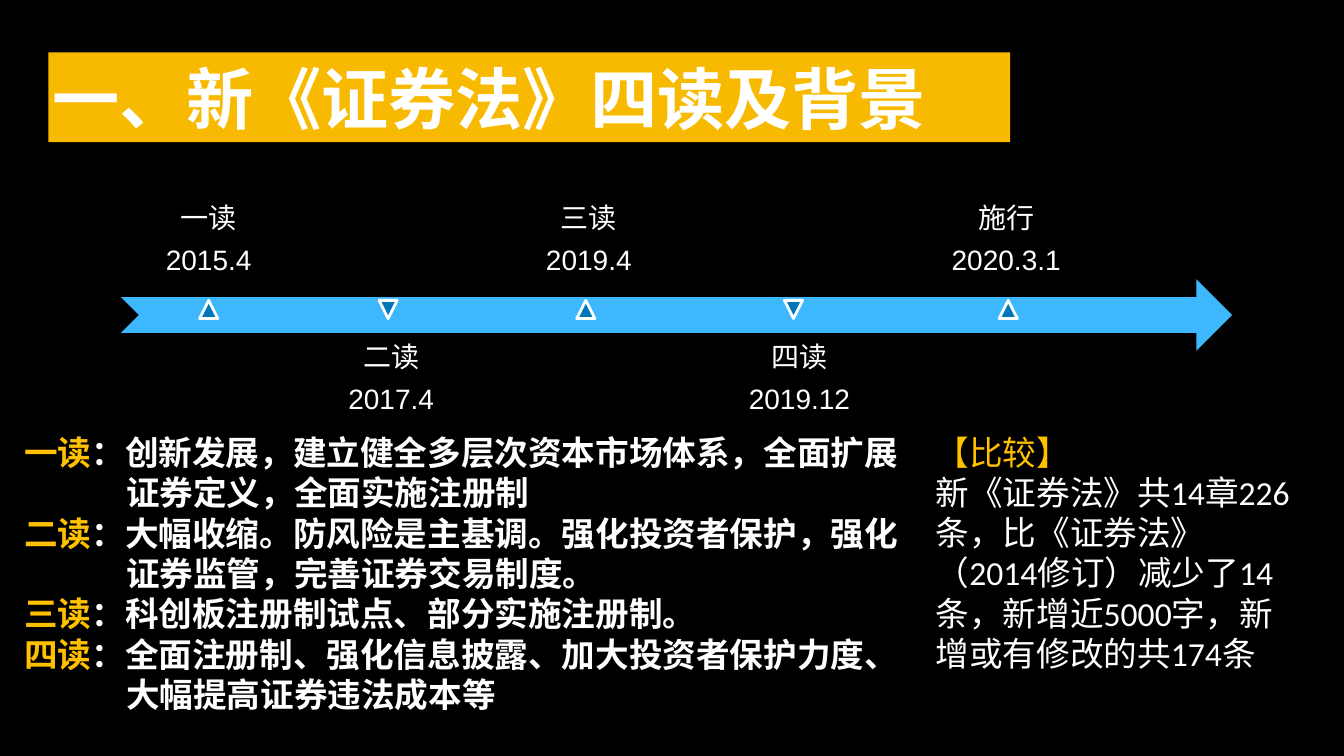
"""Build the slide on the readings and background of the new Securities Law."""
import pptx
import pptx.dml.color
import pptx.enum.shapes
import pptx.enum.text
import pptx.oxml.ns
import pptx.util

SLIDE_WIDTH, SLIDE_HEIGHT = 13.33, 7.5
WHITE, AMBER, GOLD = "FFFFFF", "FFC000", "F8BA00"
ARROW_BLUE, MARKER_BLUE, BLACK = "3DB8FF", "0076BA", "000000"

TITLE = "一、新《证券法》四读及背景"
MILESTONES = [
    ("一读", "2015.4", 2.07, 1.73, 2.07),
    ("二读", "2017.4", 3.88, 1.79, 3.85),
    ("三读", "2019.4", 5.84, 2.02, 5.81),
    ("四读", "2019.12", 7.93, 2.1, 7.87),
    ("施行", "2020.3.1", 9.98, 2.19, 10.0),
]
READINGS = [
    [("一读", AMBER), ("：创新发展，建立健全多层次资本市场体系，全面扩展证券定义，全面实施注册制", WHITE)],
    [("二读", AMBER), ("：大幅收缩。防风险是主基调。强化投资者保护，强化证券监管，完善证券交易制度。", WHITE)],
    [("三读", AMBER), ("：科创板注册制试点、部分实施注册制。", WHITE)],
    [("四读", AMBER), ("：全面注册制、强化信息披露、加大投资者保护力度、大幅提高证券违法成本等", WHITE)],
]
COMPARISON = [
    [("【比较】", AMBER)],
    [("新《证券法》共14章226条，比《证券法》（2014修订）减少了14条，新增近5000字，新增或有修改的共174条", WHITE)],
]

TITLE_BOX = (0.48, 0.52, 9.54, 0.89)
READINGS_BOX = (0.2, 4.23, 8.96, 2.91)
COMPARISON_BOX = (9.24, 4.23, 3.72, 2.5)
ARROW_BOX = (1.2, 2.77, 11.02, 0.71)
LABEL_HEIGHT, LABEL_ABOVE, LABEL_BELOW = 0.71, 2.19, 3.25
MARKER_SIZE, MARKER_TOP = 0.18, 2.98
HANGING_INDENT = 1.01

SHAPES = pptx.enum.shapes.MSO_SHAPE
ANCHORS = pptx.enum.text.MSO_ANCHOR
ALIGNMENTS = pptx.enum.text.PP_ALIGN


def color(hex_string):
    """Turn a hex string into a colour."""
    return pptx.dml.color.RGBColor.from_string(hex_string)


def inches(box):
    """Turn a box in inches into lengths."""
    return [pptx.util.Inches(length) for length in box]


def paint(target, hex_string):
    """Give a shape or background a solid fill."""
    target.fill.solid()
    target.fill.fore_color.rgb = color(hex_string)


def prepare_frame(shape, inset, anchor):
    """Set margins, wrapping and anchor, and return the text frame."""
    frame = shape.text_frame
    frame.margin_left = frame.margin_right = pptx.util.Inches(inset)
    frame.margin_top = frame.margin_bottom = pptx.util.Inches(inset)
    frame.word_wrap = True
    frame.auto_size = pptx.enum.text.MSO_AUTO_SIZE.NONE
    frame.vertical_anchor = anchor
    return frame


def write_paragraphs(frame, paragraphs, font_name, size, bold=False):
    """Write paragraphs of coloured runs and yield each paragraph."""
    for index, runs in enumerate(paragraphs):
        paragraph = frame.add_paragraph() if index else frame.paragraphs[0]
        paragraph.font.name = font_name
        paragraph.font.size = pptx.util.Pt(size)
        paragraph.font.bold = bold
        for text, hex_string in runs:
            run = paragraph.add_run()
            run.text = text
            run.font.name = font_name
            run.font.color.rgb = color(hex_string)
        yield paragraph


def fill_placeholder(shape, box, paragraphs, font_name, size, bold, indent=0):
    """Move a placeholder and write unbulleted paragraphs with a hanging indent."""
    shape.left, shape.top, shape.width, shape.height = inches(box)
    frame = prepare_frame(shape, 0.04, ANCHORS.MIDDLE)
    for paragraph in write_paragraphs(frame, paragraphs, font_name, size, bold):
        paragraph.alignment = ALIGNMENTS.LEFT
        paragraph.space_before = pptx.util.Pt(0)
        properties = paragraph._p.get_or_add_pPr()
        properties.set("marL", str(pptx.util.Inches(indent)))
        properties.set("indent", str(-pptx.util.Inches(indent)))
        bullet = pptx.oxml.parse_xml(f"<a:buNone {pptx.oxml.ns.nsdecls('a')}/>")
        properties.insert_element_before(bullet, "a:tabLst", "a:defRPr", "a:extLst")


def add_filled_shape(shapes, kind, box, fill):
    """Add a flat preset shape without an outline."""
    shape = shapes.add_shape(kind, *inches(box))
    shape.shadow.inherit = False
    paint(shape, fill)
    shape.line.fill.background()
    return shape


def add_milestone(shapes, milestone, above):
    """Add one dated label and its marker on the arrow."""
    name, date, label_center, label_width, marker_center = milestone
    label_top = LABEL_ABOVE if above else LABEL_BELOW
    label_box = (label_center - label_width / 2, label_top, label_width, LABEL_HEIGHT)
    label = shapes.add_textbox(*inches(label_box))
    frame = prepare_frame(label, 0.16, ANCHORS.BOTTOM if above else ANCHORS.TOP)
    lines = [[(name, WHITE)], [(date, WHITE)]]
    for paragraph in write_paragraphs(frame, lines, "Arial", 20):
        paragraph.alignment = ALIGNMENTS.CENTER
        paragraph.line_spacing = 0.9
        paragraph.space_after = pptx.util.Pt(8.2)

    kind = SHAPES.ISOSCELES_TRIANGLE if above else SHAPES.FLOWCHART_MERGE
    marker_box = (marker_center - MARKER_SIZE / 2, MARKER_TOP, MARKER_SIZE, MARKER_SIZE)
    marker = add_filled_shape(shapes, kind, marker_box, MARKER_BLUE)
    marker.line.color.rgb = color(WHITE)
    marker.line.width = pptx.util.Pt(2)


def main():
    """Build and save the slide."""
    presentation = pptx.Presentation()
    presentation.slide_width, presentation.slide_height = inches((SLIDE_WIDTH, SLIDE_HEIGHT))
    slide = presentation.slides.add_slide(presentation.slide_layouts.get_by_name("Two Content"))
    paint(slide.background, BLACK)

    title, readings, comparison = slide.placeholders
    paint(title, GOLD)
    fill_placeholder(title, TITLE_BOX, [[(TITLE, WHITE)]], "Arial", 48, True)
    fill_placeholder(readings, READINGS_BOX, READINGS, "Arial", 24, True, HANGING_INDENT)
    fill_placeholder(comparison, COMPARISON_BOX, COMPARISON, "Calibri", 24, False)

    timeline = slide.shapes.add_group_shape().shapes
    add_filled_shape(timeline, SHAPES.NOTCHED_RIGHT_ARROW, ARROW_BOX, ARROW_BLUE)
    for index, milestone in enumerate(MILESTONES):
        add_milestone(timeline, milestone, index % 2 == 0)

    presentation.save("out.pptx")


if __name__ == "__main__":
    main()
